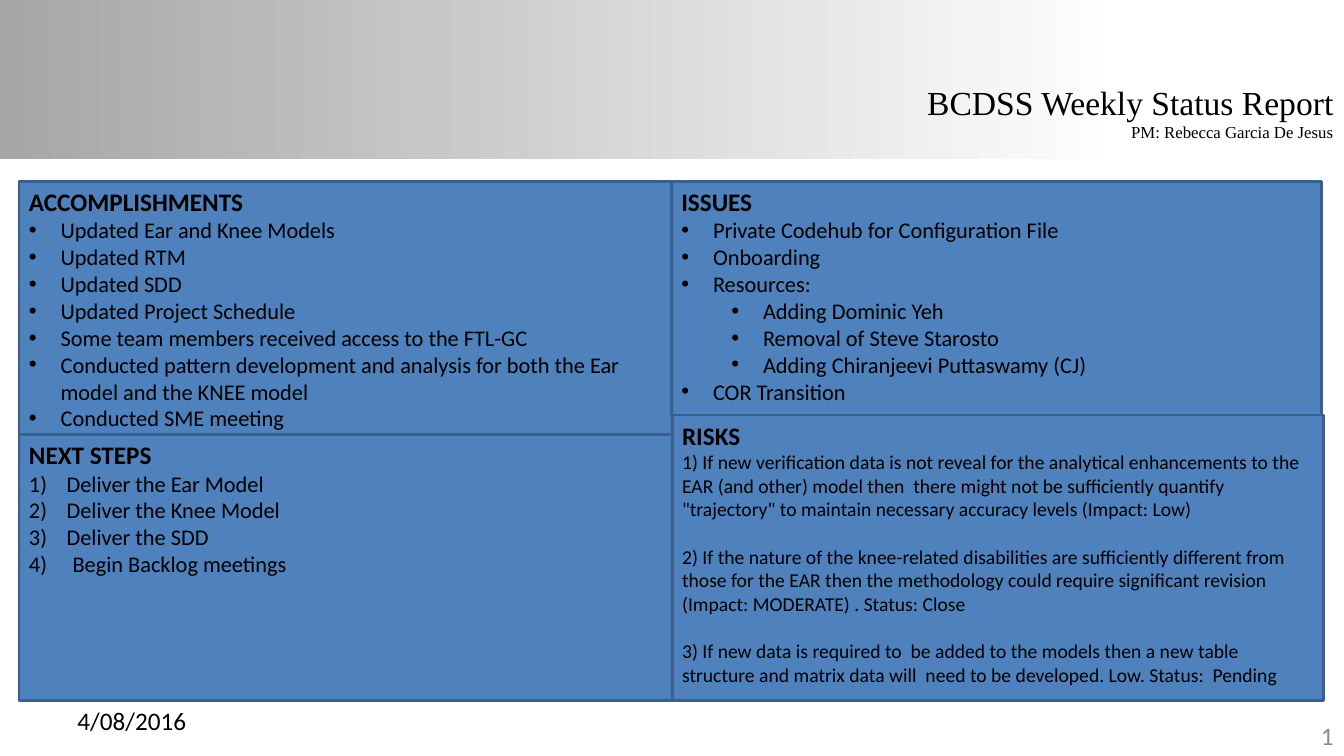
from dataclasses import dataclass

from lxml import etree
from pptx import Presentation
from pptx.dml.color import RGBColor
from pptx.enum.shapes import MSO_SHAPE
from pptx.enum.text import MSO_ANCHOR, MSO_AUTO_SIZE, PP_ALIGN
from pptx.oxml.ns import qn
from pptx.util import Cm, Pt

RECTANGLE = MSO_SHAPE.RECTANGLE
TOP, MIDDLE = MSO_ANCHOR.TOP, MSO_ANCHOR.MIDDLE
LEFT, RIGHT = PP_ALIGN.LEFT, PP_ALIGN.RIGHT
NO_AUTOFIT = MSO_AUTO_SIZE.NONE

TITLE = "BCDSS Weekly Status Report"
MANAGER = "PM: Rebecca Garcia De Jesus"
REPORT_DATE = "4/08/2016"

PANELS = [
    ("ACCOMPLISHMENTS", (0.48, 4.57, 16.46, 6.38), [
        ("bullet", "Updated Ear and Knee Models"),
        ("bullet", "Updated RTM"),
        ("bullet", "Updated SDD"),
        ("bullet", "Updated Project Schedule"),
        ("bullet", "Some team members received access to the FTL-GC"),
        ("bullet", "Conducted pattern development and analysis for both the Ear "
                   "model and the KNEE model"),
        ("bullet", "Conducted SME meeting"),
    ]),
    ("NEXT STEPS", (0.48, 10.95, 16.46, 6.71), [
        ("number", "Deliver the Ear Model"),
        ("number", "Deliver the Knee Model"),
        ("number", "Deliver the SDD"),
        ("last number", "Begin Backlog meetings"),
    ]),
    ("ISSUES", (16.92, 4.57, 16.38, 5.89), [
        ("bullet", "Private Codehub for Configuration File"),
        ("bullet", "Onboarding"),
        ("bullet", "Resources:"),
        ("sub-bullet", "Adding Dominic Yeh"),
        ("sub-bullet", "Removal of Steve Starosto"),
        ("sub-bullet", "Adding Chiranjeevi Puttaswamy (CJ)"),
        ("bullet", "COR Transition"),
    ]),
    ("RISKS", (16.94, 10.46, 16.41, 7.19), [
        ("risk", "1) If new verification data is not reveal for the analytical "
                 "enhancements to the EAR (and other) model then  there might not be "
                 "sufficiently quantify \"trajectory\" to maintain necessary accuracy "
                 "levels (Impact: Low)"),
        ("spaced risk", "2) If the nature of the knee-related disabilities are "
                        "sufficiently different from those for the EAR then the "
                        "methodology could require significant revision "
                        "(Impact: MODERATE) . Status: Close"),
        ("spaced risk", "3) If new data is required to  be added to the models then a "
                        "new table structure and matrix data will  need to be "
                        "developed. Low. Status:  Pending"),
    ]),
]


@dataclass(frozen=True)
class Theme:
    """Colours, fonts and type sizes of the report."""
    text: RGBColor = RGBColor(0, 0, 0)
    page_number: RGBColor = RGBColor(0x8C, 0x8C, 0x8C)
    panel: RGBColor = RGBColor(0x4F, 0x81, 0xBD)
    border: RGBColor = RGBColor(0x3A, 0x5F, 0x8C)
    band_start: RGBColor = RGBColor(0xA6, 0xA6, 0xA6)
    band_end: RGBColor = RGBColor(0xFF, 0xFF, 0xFF)
    body_font: str = "Calibri"
    title_font: str = "Times New Roman"
    title: int = 24
    manager: int = 12
    heading: int = 18
    item: int = 16
    risk: int = 14
    risk_gap: int = 17


THEME = Theme()

LISTS = {
    "bullet": (0.8, 0.8, "a:buChar", {"char": "•"}),
    "sub-bullet": (2.06, 0.8, "a:buChar", {"char": "•"}),
    "number": (0.95, 0.95, "a:buAutoNum", {"type": "arabicParenR"}),
    "last number": (1.1, 1.1, "a:buAutoNum", {"type": "arabicParenR", "startAt": "4"}),
}


def style(para, size, font=THEME.body_font, color=THEME.text, bold=False, align=LEFT):
    """Set the type and alignment of a paragraph."""
    para.alignment = align
    para.font.size = Pt(size)
    para.font.name = font
    para.font.bold = bold
    para.font.color.rgb = color


def add_list_mark(para, kind):
    """Give a paragraph its hanging indent and bullet or number."""
    margin, hang, tag, attributes = LISTS[kind]
    properties = para._p.get_or_add_pPr()
    properties.set("marL", str(Cm(margin)))
    properties.set("indent", str(-Cm(hang)))
    if kind == "sub-bullet":
        para.level = 1
    if tag == "a:buChar":
        etree.SubElement(properties, qn("a:buFont"), typeface="Arial")
    etree.SubElement(properties, qn(tag), attributes)


def add_rectangle(page, left, top, width, height):
    """Add a rectangle without a shadow."""
    box = page.shapes.add_shape(RECTANGLE, Cm(left), Cm(top), Cm(width), Cm(height))
    box.shadow.inherit = False
    return box


def add_band(page):
    """Add the shaded band across the top."""
    band = add_rectangle(page, 0, 0, 33.87, 4.02)
    band.line.fill.background()
    band.fill.gradient()
    band.fill.gradient_angle = 0
    stops = ((0, THEME.band_start), (0.84, THEME.band_end))
    for stop, (position, color) in zip(band.fill.gradient_stops, stops):
        stop.position = position
        stop.color.rgb = color


def add_title(page):
    """Place the report title and the manager's name."""
    title = page.shapes.title
    title.left, title.top, title.width, title.height = Cm(23.01), Cm(1.93), Cm(10.85), Cm(1.8)
    frame = title.text_frame
    frame.text = f"{TITLE}\n{MANAGER}"
    frame.word_wrap = False
    frame.auto_size = NO_AUTOFIT
    frame.vertical_anchor = TOP
    for para, size in zip(frame.paragraphs, (THEME.title, THEME.manager)):
        style(para, size, font=THEME.title_font, align=RIGHT)


def add_panel(page, heading, place, items):
    """Add one report panel with its heading and items."""
    box = add_rectangle(page, *place)
    box.fill.solid()
    box.fill.fore_color.rgb = THEME.panel
    box.line.color.rgb = THEME.border
    box.line.width = Pt(2)
    frame = box.text_frame
    frame.word_wrap = True
    frame.vertical_anchor = TOP
    frame.text = heading
    style(frame.paragraphs[0], THEME.heading, bold=True)
    for kind, text in items:
        para = frame.add_paragraph()
        para.text = text
        if kind in LISTS:
            add_list_mark(para, kind)
        if kind == "spaced risk":
            para.space_before = Pt(THEME.risk_gap)
        style(para, THEME.item if kind in LISTS else THEME.risk)


def add_footer(page, left, top):
    """Add a footer box and return its paragraph."""
    box = page.shapes.add_textbox(Cm(left), Cm(top), Cm(7.9), Cm(1.02))
    box.text_frame.word_wrap = True
    box.text_frame.vertical_anchor = MIDDLE
    return box.text_frame.paragraphs[0]


def add_footers(page):
    """Add the report date and the page number."""
    number = add_footer(page, 25.96, 18.01)
    style(number, THEME.heading, color=THEME.page_number, align=RIGHT)
    field = etree.SubElement(number._p, qn("a:fld"), type="slidenum",
                             id="{B6F15528-21DE-4FAA-801E-634DDDAF4B2B}")
    etree.SubElement(field, qn("a:rPr"), lang="en-US")
    etree.SubElement(field, qn("a:t")).text = "1"
    date = add_footer(page, 1.7, 17.65)
    date.text = REPORT_DATE
    style(date, THEME.heading)


def main():
    """Build and save the status report."""
    deck = Presentation()
    deck.slide_width, deck.slide_height = Cm(33.87), Cm(19.05)
    page = deck.slides.add_slide(deck.slide_layouts[5])
    add_band(page)
    title = page.shapes.title._element
    title.getparent().append(title)
    add_title(page)
    for heading, place, items in PANELS:
        add_panel(page, heading, place, items)
    add_footers(page)
    deck.save("out.pptx")


if __name__ == "__main__":
    main()
